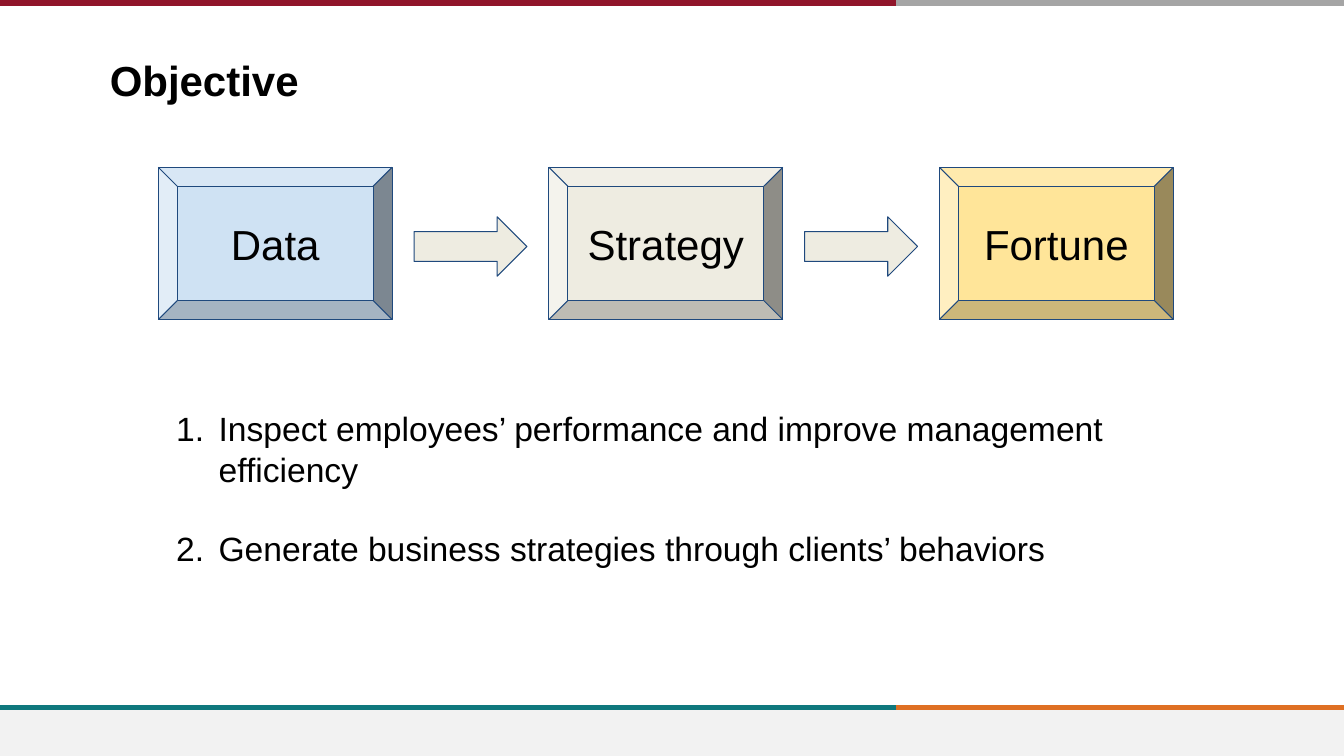
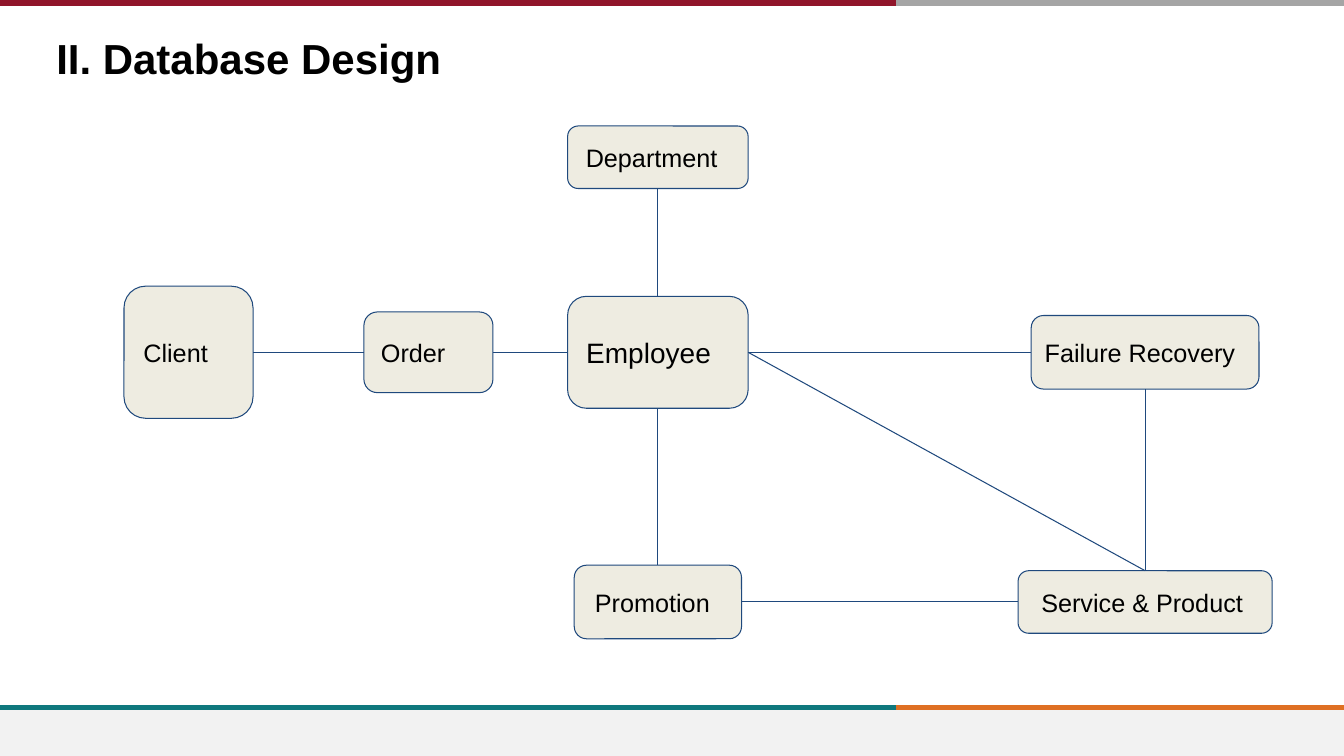
from dataclasses import dataclass

from lxml.etree import SubElement
from pptx import Presentation
from pptx.dml.color import RGBColor
from pptx.enum.shapes import MSO_CONNECTOR, MSO_SHAPE
from pptx.enum.text import MSO_ANCHOR, PP_ALIGN
from pptx.oxml.ns import qn
from pptx.util import Inches, Pt


@dataclass(frozen=True)
class Theme:
    font: str = "Arial"
    ink: str = "000000"
    edge: str = "1F497D"
    sand: str = "EEECE1"
    sky: str = "CFE2F3"
    gold: str = "FFE599"
    footer: str = "F2F2F2"
    crimson: str = "90152A"
    grey: str = "A5A5A5"
    teal: str = "0F787D"
    orange: str = "DF7023"
    heading: int = 30
    body: int = 24
    hub: int = 20
    entity: int = 18
    hairline: float = 0.75
    band: int = 4


theme = Theme()
deck = Presentation()
deck.slide_width, deck.slide_height = Inches(13.33), Inches(7.5)
col, row = deck.slide_width / 100, deck.slide_height / 100
filled = []  # (shape, fill, edge), coloured together at the end


def write(shape, lines, size, bold=False, align=PP_ALIGN.LEFT,
          anchor=MSO_ANCHOR.TOP, indent=0):
    frame = shape.text_frame
    frame_format = {
        "word_wrap": True, "vertical_anchor": anchor,
        "margin_left": Inches(0.1 + indent), "margin_right": Inches(0.1),
        "margin_top": Inches(0.1), "margin_bottom": Inches(0.1),
    }
    for name, value in frame_format.items():
        setattr(frame, name, value)
    frame.text = "\n".join(lines)
    for paragraph in frame.paragraphs:
        paragraph.alignment = align
        font = paragraph.runs[0].font
        for name, value in {"name": theme.font, "size": Pt(size), "bold": bold}.items():
            setattr(font, name, value)
        font.color.rgb = RGBColor.from_string(theme.ink)
    return frame


def rule(slide, x1, y1, x2, y2, color, weight):
    line = slide.shapes.add_connector(
        MSO_CONNECTOR.STRAIGHT,
        *map(int, (x1 * col, y1 * row, x2 * col, y2 * row)))
    line.line.color.rgb = RGBColor.from_string(color)
    line.line.width = Pt(weight)
    SubElement(line._element.spPr, qn("a:effectLst"))
    return line


# Shared frame: footer, two-tone bands and title
titles = [("Objective", 7.43, 5.87, 66.6), ("II. Database Design", 3.45, 2.93, 79.9)]
bands = [(93.6, theme.teal, theme.orange), (0.4, theme.crimson, theme.grey)]
split = 66.67
slides = []
for title, left, top, width in titles:
    slide = deck.slides.add_slide(deck.slide_layouts[6])
    footer = slide.shapes.add_shape(
        MSO_SHAPE.RECTANGLE, *map(int, (0, 94 * row, 100 * col, 6 * row)))
    filled.append((footer, theme.footer, theme.footer))
    for level, long_color, short_color in bands:
        rule(slide, split, level, 100, level, short_color, theme.band)
        rule(slide, 0, level, split, level, long_color, theme.band)
    heading = slide.shapes.add_textbox(
        *map(int, (left * col, top * row, width * col, 9.73 * row)))
    write(heading, [title], theme.heading, bold=True)
    slides.append(slide)
objective, database = slides

# Objective: three stages with an arrow centred in each gap
stages = [("Data", theme.sky), ("Strategy", theme.sand), ("Fortune", theme.gold)]
first, pitch, stage_width, arrow_width = 11.78, 29.06, 17.4, 8.4
for index, (stage, color) in enumerate(stages):
    left = first + index * pitch
    card = objective.shapes.add_shape(
        MSO_SHAPE.BEVEL,
        *map(int, (left * col, 22.13 * row, stage_width * col, 20.13 * row)))
    write(card, [stage], theme.heading, align=PP_ALIGN.CENTER, anchor=MSO_ANCHOR.MIDDLE)
    filled.append((card, color, theme.edge))
    if index < len(stages) - 1:
        start = left + (stage_width + pitch - arrow_width) / 2
        arrow = objective.shapes.add_shape(
            MSO_SHAPE.RIGHT_ARROW,
            *map(int, (start * col, 28.67 * row, arrow_width * col, 7.87 * row)))
        filled.append((arrow, theme.sand, theme.edge))

# Objective: numbered goals
goals = objective.shapes.add_textbox(
    *map(int, (first * col, 52.67 * row, 72 * col, 36.67 * row)))
goal_frame = write(goals, [
    "Inspect employees’ performance and improve management efficiency",
    "Generate business strategies through clients’ behaviors",
], theme.body)
for index, goal in enumerate(goal_frame.paragraphs):
    goal.space_before = Pt(28 * index)
    numbering = goal._p.get_or_add_pPr()
    numbering.set("marL", str(Inches(0.5)))
    numbering.set("indent", str(Inches(-0.42)))
    SubElement(numbering, qn("a:buAutoNum"), type="arabicPeriod")

# Database: entities by column centre, row centre, width, height, text indent
client_col, order_col, staff_col, service_col = 14.03, 31.88, 48.95, 85.2
upper, middle, lower = 20.8, 46.6, 79.63
entities = [
    ("Department", staff_col, upper, 13.43, 8.27, 0.05),
    ("Employee", staff_col, middle, 13.43, 14.8, 0.03),
    ("Order", order_col, middle, 9.6, 10.67, 0.03),
    ("Promotion", staff_col, lower, 12.45, 9.73, 0.07),
    ("Client", client_col, middle, 9.6, 17.47, 0.03),
    ("Service & Product", service_col, lower, 18.9, 8.27, 0.1),
    ("Failure Recovery", service_col, middle, 16.95, 9.73, 0),
]
nodes = {}
for entity, x, y, width, height, indent in entities:
    node = database.shapes.add_shape(
        MSO_SHAPE.ROUNDED_RECTANGLE,
        *map(int, ((x - width / 2) * col, (y - height / 2) * row,
                   width * col, height * row)))
    size = theme.hub if entity == "Employee" else theme.entity
    write(node, [entity], size, anchor=MSO_ANCHOR.MIDDLE, indent=indent)
    filled.append((node, theme.sand, theme.edge))
    nodes[entity] = node

# Database: relations joined at side middles
top_side, left_side, bottom_side, right_side = range(4)
relations = [
    ("Client", right_side, "Order", left_side),
    ("Order", right_side, "Employee", left_side),
    ("Department", bottom_side, "Employee", top_side),
    ("Employee", bottom_side, "Promotion", top_side),
    ("Employee", right_side, "Failure Recovery", left_side),
    ("Promotion", right_side, "Service & Product", left_side),
    ("Employee", right_side, "Service & Product", top_side),
    ("Failure Recovery", bottom_side, "Service & Product", top_side),
]
for source, source_side, target, target_side in relations:
    relation = rule(database, 0, 0, 1, 1, theme.edge, theme.hairline)
    relation.begin_connect(nodes[source], source_side)
    relation.end_connect(nodes[target], target_side)

# Colours of every filled shape
for shape, fill, edge in filled:
    shape.shadow.inherit = False
    shape.fill.solid()
    shape.fill.fore_color.rgb = RGBColor.from_string(fill)
    shape.line.color.rgb = RGBColor.from_string(edge)
    shape.line.width = Pt(theme.hairline)

deck.save("out.pptx")
